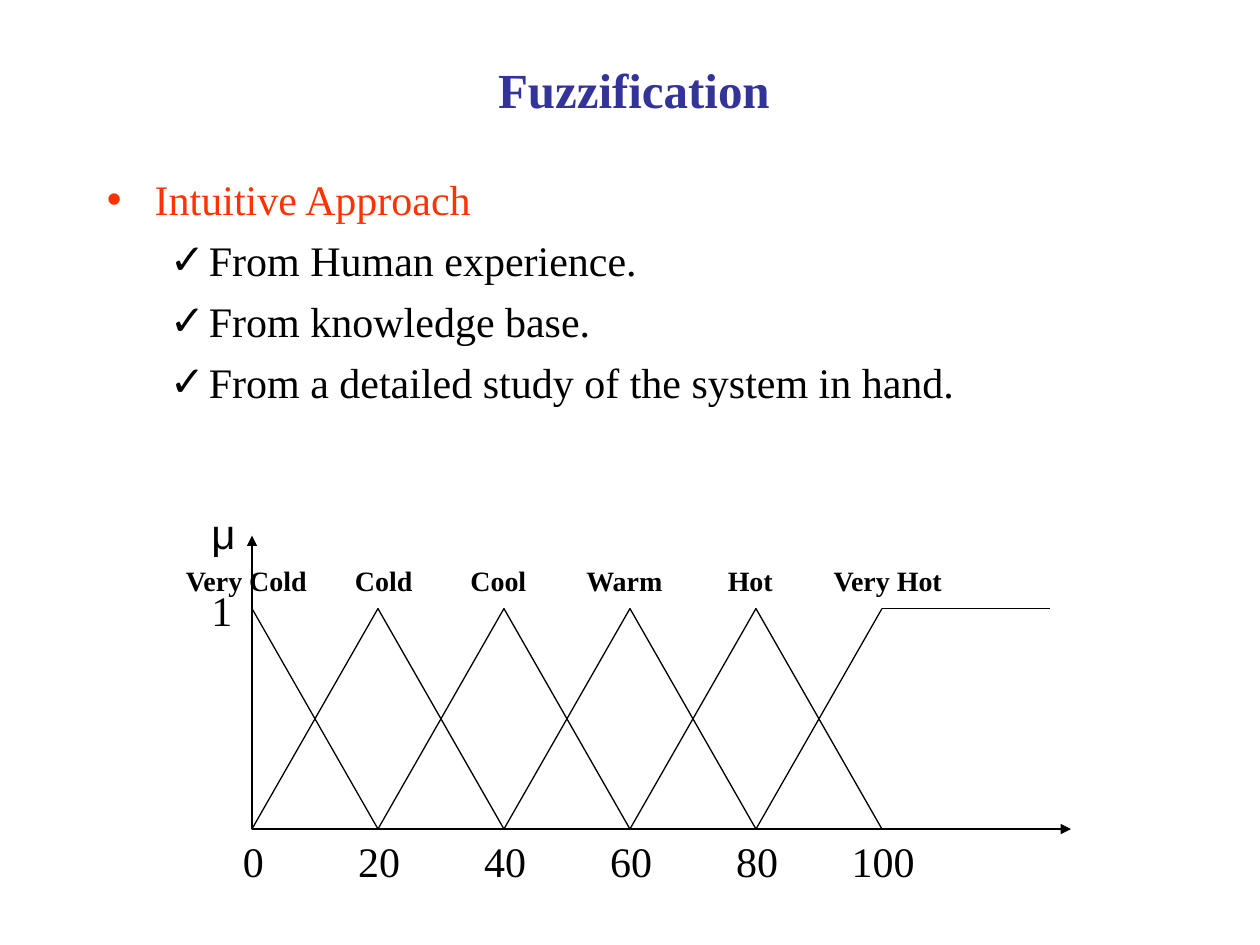
from lxml import etree
from pptx import Presentation
from pptx.dml.color import RGBColor
from pptx.enum.shapes import MSO_CONNECTOR, MSO_SHAPE
from pptx.enum.text import MSO_ANCHOR, PP_ALIGN
from pptx.oxml.ns import qn
from pptx.util import Inches, Pt

STRAIGHT = MSO_CONNECTOR.STRAIGHT
TRIANGLE = MSO_SHAPE.ISOSCELES_TRIANGLE
TOP, MIDDLE = MSO_ANCHOR.TOP, MSO_ANCHOR.MIDDLE
LEFT, CENTER, JUSTIFY = PP_ALIGN.LEFT, PP_ALIGN.CENTER, PP_ALIGN.JUSTIFY

BLACK = RGBColor(0x00, 0x00, 0x00)
INDIGO = RGBColor(0x33, 0x33, 0x99)
ORANGE = RGBColor(0xFF, 0x33, 0x00)

SERIF = "Times New Roman"
TITLE = {"name": SERIF, "size": Pt(28), "bold": True}
BODY = {"name": SERIF, "size": Pt(24), "bold": False}
SYMBOL = {"name": "Arial", "size": Pt(24), "bold": False}
LABEL = {"name": SERIF, "size": Pt(16), "bold": True}

ORIGIN_X, BASE_Y, PEAK_Y = 2, 6.58, 4.83
STEP = 1
POINTS = [
    ("Intuitive Approach", 0, "•", ORANGE, 0.38, -0.38),
    ("From Human experience.", 1, "✓", BLACK, 0.81, -0.31),
    ("From knowledge base.", 1, "✓", BLACK, 0.81, -0.31),
    ("From a detailed study of the system in hand.", 1, "✓", BLACK, 0.81, -0.31),
]
SETS = [("Very Cold", 1.08), ("Cold", 2.17), ("Cool", 3.08),
        ("Warm", 4.08), ("Hot", 5.08), ("Very Hot", 6.17)]
TEMPERATURES = ["0", "20", "40", "60", "80", "100"]


def write(p, text, fmt, color=BLACK, align=LEFT):
    p.alignment = align
    r = p.add_run()
    r.text = text
    for name, value in fmt.items():
        setattr(r.font, name, value)
    r.font.color.rgb = color


def add_box(s, left, top, width, height):
    sp = s.shapes.add_textbox(*map(Inches, (left, top, width, height)))
    tf = sp.text_frame
    tf.word_wrap = True
    tf.vertical_anchor = TOP
    return tf


def set_bullet(p, char, color, margin, indent):
    pPr = p._p.get_or_add_pPr()
    pPr.set("marL", str(Inches(margin)))
    pPr.set("indent", str(Inches(indent)))
    clr = etree.SubElement(pPr, qn("a:buClr"))
    etree.SubElement(clr, qn("a:srgbClr"), val=str(color))
    etree.SubElement(pPr, qn("a:buFont"), typeface="Arial")
    etree.SubElement(pPr, qn("a:buChar"), char=char)


def set_center_tabs(p, stops):
    tabs = etree.SubElement(p._p.get_or_add_pPr(), qn("a:tabLst"))
    for stop in stops:
        etree.SubElement(tabs, qn("a:tab"), pos=str(Inches(stop)), algn="ctr")


def add_line(s, x1, y1, x2, y2, arrow=False):
    line = s.shapes.add_connector(STRAIGHT, *map(Inches, (x1, y1, x2, y2)))
    line.line.color.rgb = BLACK
    line.line.width = Pt(0.75)
    if arrow:
        etree.SubElement(line.line._get_or_add_ln(), qn("a:tailEnd"), type="triangle")
    etree.SubElement(line._element.spPr, qn("a:effectLst"))


def add_triangle(s, left):
    sp = s.shapes.add_shape(
        TRIANGLE, *map(Inches, (left, PEAK_Y, 2 * STEP, BASE_Y - PEAK_Y)))
    sp.shadow.inherit = False
    sp.fill.background()
    sp.line.color.rgb = BLACK
    sp.line.width = Pt(0.75)


def add_title(s, text):
    sp = s.shapes.title
    sp.left, sp.top, sp.width, sp.height = map(Inches, (0.83, 0, 8.5, 1.41))
    sp.text_frame.vertical_anchor = MIDDLE
    write(sp.text_frame.paragraphs[0], text, TITLE, INDIGO, CENTER)


def add_points(s):
    tf = add_box(s, 0.75, 1.33, 8.5, 2)
    for i, (text, level, char, color, margin, indent) in enumerate(POINTS):
        p = tf.add_paragraph() if i else tf.paragraphs[0]
        p.level = level
        set_bullet(p, char, color, margin, indent)
        if i:
            p.space_before = Pt(6)
        write(p, text, BODY, color, JUSTIFY)


def add_membership_lines(s):
    last_x = ORIGIN_X + 5 * STEP
    add_line(s, ORIGIN_X, BASE_Y, ORIGIN_X, 4.25, arrow=True)
    add_line(s, ORIGIN_X, BASE_Y, 8.5, BASE_Y, arrow=True)
    for i in range(4):
        add_triangle(s, ORIGIN_X + i * STEP)
    add_line(s, ORIGIN_X + STEP, BASE_Y, ORIGIN_X, PEAK_Y)
    add_line(s, last_x - STEP, BASE_Y, last_x, PEAK_Y)
    add_line(s, last_x, PEAK_Y, 8.33, PEAK_Y)


def add_axis_labels(s):
    p = add_box(s, 1.83, 6.58, 7.42, 0.5).paragraphs[0]
    set_center_tabs(p, [1.08 + i * STEP for i in range(len(TEMPERATURES) - 1)])
    write(p, "\t".join(TEMPERATURES), BODY)

    tf = add_box(s, 1.58, 3.98, 0.67, 1.11)
    write(tf.paragraphs[0], "μ", SYMBOL)
    p = tf.add_paragraph()
    p.space_before = Pt(15)
    write(p, "1", BODY)


def add_set_labels(s):
    for text, left in SETS:
        tf = add_box(s, left, 4.42, 1.75, 0.37)
        write(tf.paragraphs[0], text, LABEL, align=CENTER)


def main():
    prs = Presentation()
    prs.slide_width, prs.slide_height = Inches(10), Inches(7.5)
    s = prs.slides.add_slide(prs.slide_layouts[5])
    add_title(s, "Fuzzification ")
    add_points(s)
    add_membership_lines(s)
    add_axis_labels(s)
    add_set_labels(s)
    prs.save("out.pptx")


if __name__ == "__main__":
    main()
